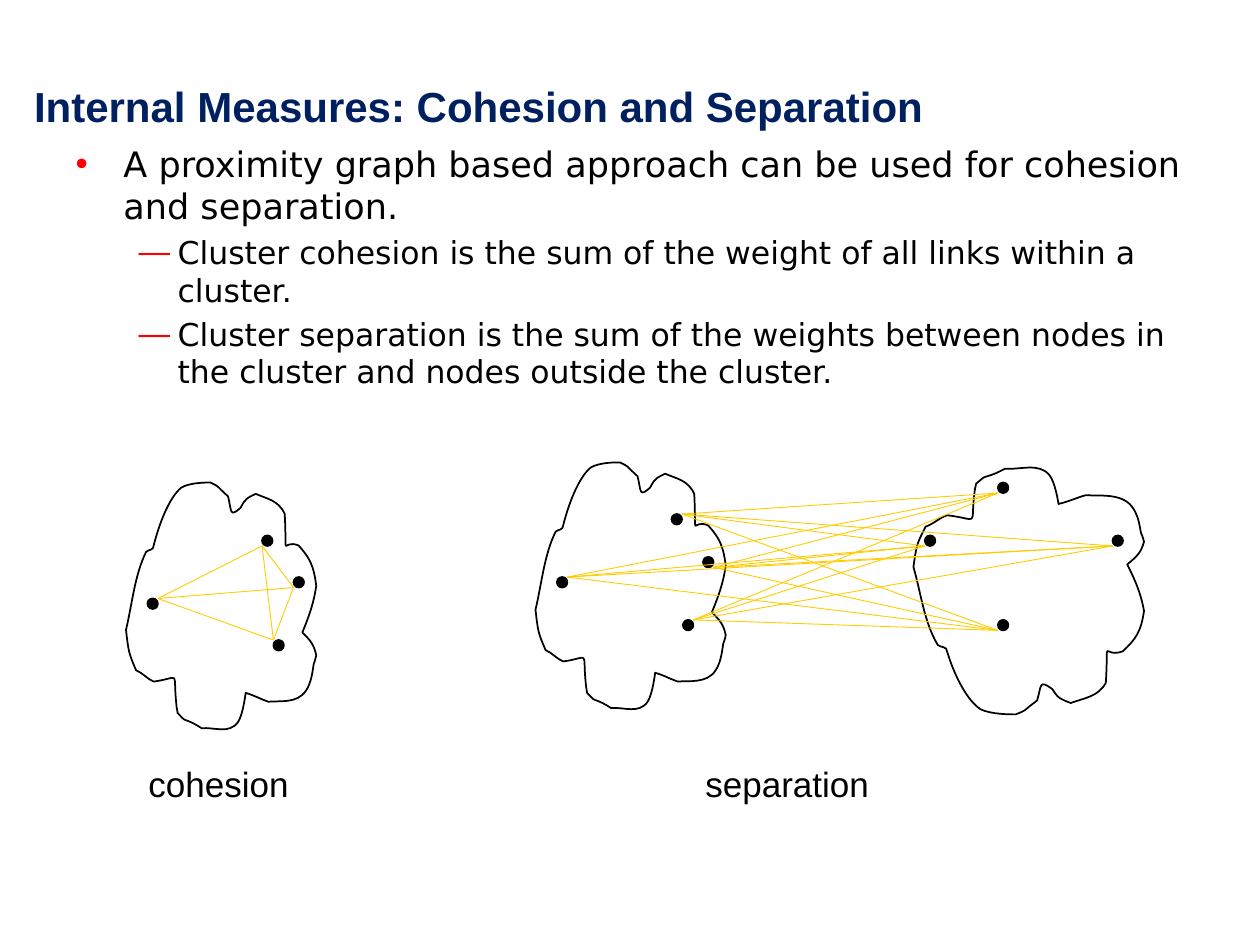
import dataclasses
import itertools
import typing

import lxml.etree
import pptx
import pptx.dml.color
import pptx.enum.shapes
import pptx.enum.text
import pptx.oxml
import pptx.oxml.ns
import pptx.util

Inches = pptx.util.Inches
Pt = pptx.util.Pt


@dataclasses.dataclass(frozen=True)
class Theme:
    ink: str = "000000"
    title: str = "002060"
    bullet: str = "FF0000"
    link: str = "FFCC00"
    heading_font: str = "Arial"
    body_font: str = "DejaVu Sans"
    title_size: float = 24
    text_size: float = 20
    detail_size: float = 18
    outline_width: float = 1
    link_width: float = 0.5


class Node(typing.NamedTuple):
    x: float
    y: float
    corner_x: int
    corner_y: int

    def link_end(self) -> tuple[float, float]:
        return self.x + self.corner_x * DOT, self.y + self.corner_y * DOT


class Cluster(typing.NamedTuple):
    left: float
    top: float
    width: float
    mirrored: bool
    nodes: list[Node]


class Bullet(typing.NamedTuple):
    text: str
    level: int
    mark: str
    margin: float
    hanging: float
    size: float
    before: float


THEME = Theme()
DOT = 1 / 12
OUTLINE_LEFT, OUTLINE_TOP = 4.25, 3.67
OUTLINE_WIDTH, OUTLINE_HEIGHT = 1.51, 2.0
OUTLINE_START = (4.41, 4.22)
OUTLINE_CURVES = [
    (4.32, 4.4, 4.3, 4.63, 4.25, 4.84),
    (4.27, 5.01, 4.27, 5.02, 4.33, 5.16),
    (4.38, 5.18, 4.42, 5.23, 4.47, 5.25),
    (4.69, 5.22, 4.62, 5.15, 4.65, 5.43),
    (4.65, 5.46, 4.66, 5.48, 4.66, 5.5),
    (4.73, 5.57, 4.69, 5.54, 4.76, 5.57),
    (4.79, 5.58, 4.85, 5.62, 4.85, 5.62),
    (4.95, 5.61, 5.07, 5.67, 5.14, 5.57),
    (5.18, 5.51, 5.2, 5.34, 5.2, 5.34),
    (5.27, 5.36, 5.32, 5.39, 5.38, 5.41),
    (5.46, 5.4, 5.61, 5.43, 5.68, 5.32),
    (5.72, 5.26, 5.73, 5.18, 5.74, 5.11),
    (5.75, 5.09, 5.76, 5.04, 5.76, 5.04),
    (5.74, 4.95, 5.71, 4.92, 5.65, 4.86),
    (5.7, 4.74, 5.74, 4.63, 5.76, 4.49),
    (5.74, 4.33, 5.71, 4.27, 5.62, 4.17),
    (5.48, 4.11, 5.53, 4.32, 5.51, 3.92),
    (5.46, 3.81, 5.37, 3.8, 5.28, 3.76),
    (5.22, 3.79, 5.2, 3.79, 5.16, 3.87),
    (5.07, 3.95, 5.09, 3.9, 5.06, 3.78),
    (4.95, 3.68, 5.0, 3.71, 4.92, 3.67),
    (4.88, 3.67, 4.76, 3.67, 4.69, 3.71),
    (4.59, 3.79, 4.51, 4.01, 4.47, 4.17),
    (4.47, 4.21, 4.43, 4.2, 4.41, 4.22),
]
SEPARATION_LEFT = Cluster(4.25, 3.67, 1.51, False, [
    Node(5.42, 4.92, 1, 0), Node(5.58, 4.42, 1, 1),
    Node(4.42, 4.58, 1, 0), Node(5.33, 4.08, 1, 0)])
SEPARATION_RIGHT = Cluster(7.25, 3.67, 1.83, True, [
    Node(7.92, 4.92, 0, 1), Node(7.34, 4.25, 0, 1),
    Node(7.92, 3.83, 0, 1), Node(8.83, 4.25, 0, 1)])
COHESION = Cluster(1.0, 3.83, 1.51, False, [
    Node(2.17, 5.08, 0, 0), Node(2.08, 4.25, 0, 1),
    Node(1.17, 4.75, 1, 0), Node(2.33, 4.58, 0, 1)])
BULLETS = [
    Bullet("A proximity graph based approach can be used for cohesion and separation.",
           0, "•", 0.38, 0.38, THEME.text_size, 0),
    Bullet("Cluster cohesion is the sum of the weight of all links within a cluster.",
           1, "—", 0.81, 0.31, THEME.detail_size, 3.6),
    Bullet("Cluster separation is the sum of the weights between nodes in the cluster "
           "and nodes outside the cluster.",
           1, "—", 0.81, 0.31, THEME.detail_size, 3.6),
]


def color(value: str) -> pptx.dml.color.RGBColor:
    return pptx.dml.color.RGBColor.from_string(value)


def write(para, text: str, *, size: float, font: str, ink: str = THEME.ink,
          bold: bool = False) -> None:
    para.alignment = pptx.enum.text.PP_ALIGN.LEFT
    span = para.add_run()
    span.text = text
    span.font.size = Pt(size)
    span.font.name = font
    span.font.bold = bold
    span.font.color.rgb = color(ink)


def place(box, left: float, top: float, width: float, height: float) -> None:
    box.left, box.top = Inches(left), Inches(top)
    box.width, box.height = Inches(width), Inches(height)
    box.text_frame.auto_size = pptx.enum.text.MSO_AUTO_SIZE.NONE


def add_bullet(para, bullet: Bullet) -> None:
    para.level = bullet.level
    para.space_before = Pt(bullet.before)
    write(para, bullet.text, size=bullet.size, font=THEME.body_font)
    properties = para._p.get_or_add_pPr()
    properties.set("marL", str(Inches(bullet.margin)))
    properties.set("indent", str(-Inches(bullet.hanging)))
    namespace = pptx.oxml.ns.nsdecls("a")
    properties.append(pptx.oxml.parse_xml(
        f'<a:buClr {namespace}><a:srgbClr val="{THEME.bullet}"/></a:buClr>'))
    properties.append(pptx.oxml.parse_xml(
        f'<a:buChar {namespace} char="{bullet.mark}"/>'))


def outline_point(cluster: Cluster, x: float, y: float) -> tuple[int, int]:
    across = (x - OUTLINE_LEFT) * cluster.width / OUTLINE_WIDTH
    down = y - OUTLINE_TOP
    if cluster.mirrored:
        down = OUTLINE_HEIGHT - down
    return Inches(cluster.left + across), Inches(cluster.top + down)


def bend_segments(outline) -> None:
    segments = list(outline._element.spPr.iter(pptx.oxml.ns.qn("a:lnTo")))
    for first in range(0, len(segments), 3):
        curve = lxml.etree.Element(pptx.oxml.ns.qn("a:cubicBezTo"))
        segments[first].addprevious(curve)
        for segment in segments[first:first + 3]:
            curve.append(segment[0])
            segment.getparent().remove(segment)


def draw_cluster(page, cluster: Cluster) -> None:
    points = [outline_point(cluster, *curve[i:i + 2])
              for curve in OUTLINE_CURVES for i in (0, 2, 4)]
    builder = page.shapes.build_freeform(*outline_point(cluster, *OUTLINE_START))
    builder.add_line_segments(points, close=True)
    outline = builder.convert_to_shape()
    bend_segments(outline)
    outline.fill.background()
    dots = [page.shapes.add_shape(
        pptx.enum.shapes.MSO_SHAPE.OVAL, Inches(node.x), Inches(node.y),
        Inches(DOT), Inches(DOT)) for node in cluster.nodes]
    for dot in dots:
        dot.fill.solid()
        dot.fill.fore_color.rgb = color(THEME.ink)
    for shape in [outline, *dots]:
        shape.shadow.inherit = False
        shape.line.color.rgb = color(THEME.ink)
        shape.line.width = Pt(THEME.outline_width)


def draw_links(page, pairs: typing.Iterable[tuple[Node, Node]]) -> None:
    for first, second in pairs:
        ends = [Inches(value) for value in first.link_end() + second.link_end()]
        link = page.shapes.add_connector(pptx.enum.shapes.MSO_CONNECTOR.STRAIGHT, *ends)
        link.line.color.rgb = color(THEME.link)
        link.line.width = Pt(THEME.link_width)
        link._element.spPr.append(pptx.oxml.parse_xml(
            f'<a:effectLst {pptx.oxml.ns.nsdecls("a")}/>'))


def add_caption(page, text: str, left: float, width: float) -> None:
    box = page.shapes.add_textbox(Inches(left), Inches(6), Inches(width), Inches(0.43))
    box.text_frame.word_wrap = False
    box.text_frame.auto_size = pptx.enum.text.MSO_AUTO_SIZE.SHAPE_TO_FIT_TEXT
    write(box.text_frame.paragraphs[0], text, size=THEME.text_size, font=THEME.heading_font)


def main() -> None:
    deck = pptx.Presentation()
    deck.slide_width, deck.slide_height = Inches(10), Inches(7.5)
    page = deck.slides.add_slide(deck.slide_layouts[1])
    title, body = page.shapes.title, page.placeholders[1]
    place(title, 0.17, 0.17, 8.42, 0.92)
    title.text_frame.vertical_anchor = pptx.enum.text.MSO_ANCHOR.BOTTOM
    write(title.text_frame.paragraphs[0], "Internal Measures: Cohesion and Separation",
          size=THEME.title_size, font=THEME.heading_font, ink=THEME.title, bold=True)
    place(body, 0.5, 1.08, 9.25, 5.83)
    frame = body.text_frame
    for index, bullet in enumerate(BULLETS):
        add_bullet(frame.add_paragraph() if index else frame.paragraphs[0], bullet)
    draw_cluster(page, SEPARATION_LEFT)
    draw_cluster(page, SEPARATION_RIGHT)
    draw_links(page, itertools.product(SEPARATION_LEFT.nodes, SEPARATION_RIGHT.nodes))
    draw_cluster(page, COHESION)
    draw_links(page, itertools.combinations(COHESION.nodes, 2))
    add_caption(page, "cohesion", 1.08, 1.32)
    add_caption(page, "separation", 5.5, 1.5)
    deck.save("out.pptx")


if __name__ == "__main__":
    main()
